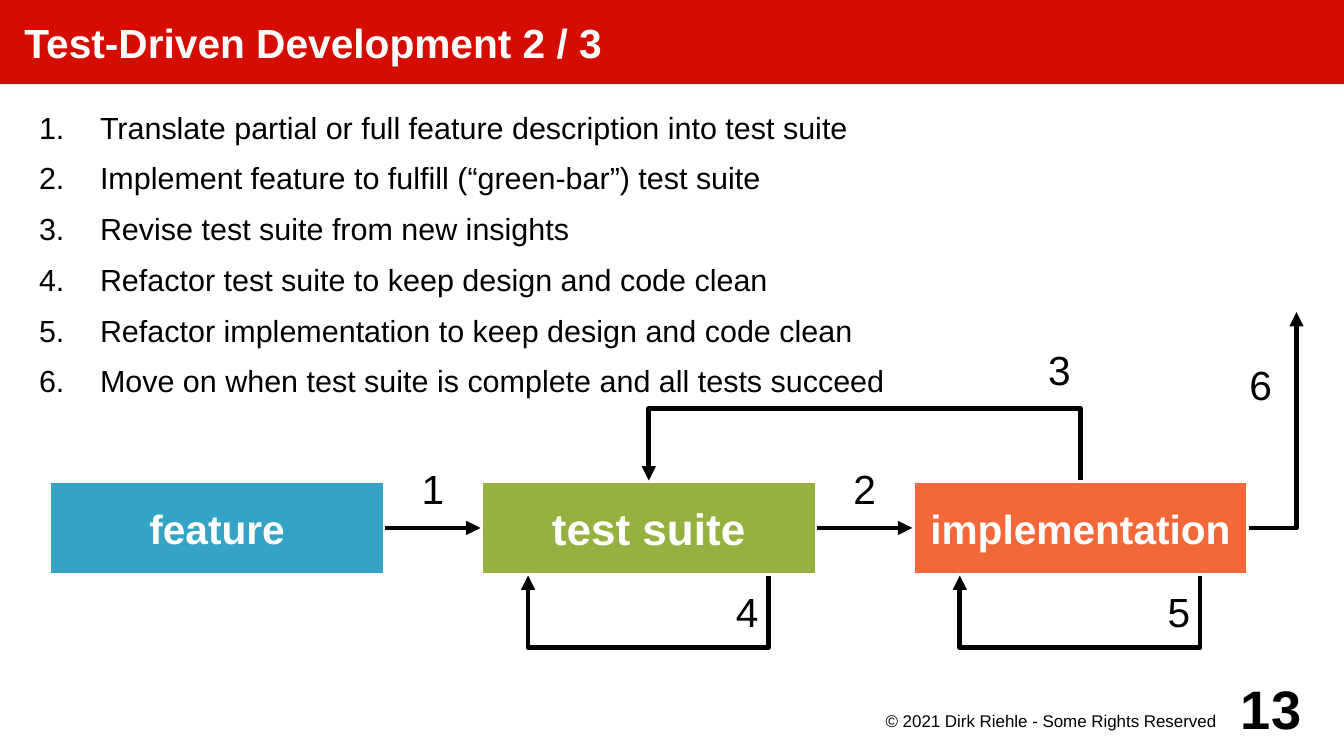
from lxml import etree
from pptx import Presentation
from pptx.dml.color import RGBColor
from pptx.enum.shapes import MSO_CONNECTOR, MSO_SHAPE
from pptx.enum.text import MSO_ANCHOR, MSO_AUTO_SIZE, PP_ALIGN
from pptx.oxml.ns import qn
from pptx.util import Inches, Pt

STRAIGHT, RECTANGLE = MSO_CONNECTOR.STRAIGHT, MSO_SHAPE.RECTANGLE
LEFT, CENTER, RIGHT = PP_ALIGN.LEFT, PP_ALIGN.CENTER, PP_ALIGN.RIGHT
TOP, MIDDLE = MSO_ANCHOR.TOP, MSO_ANCHOR.MIDDLE
NO_AUTO_SIZE = MSO_AUTO_SIZE.NONE

TITLE = "Test-Driven Development 2 / 3"
STEPS = [
    "Translate partial or full feature description into test suite",
    "Implement feature to fulfill (“green-bar”) test suite",
    "Revise test suite from new insights",
    "Refactor test suite to keep design and code clean",
    "Refactor implementation to keep design and code clean",
    "Move on when test suite is complete and all tests succeed",
]
STAGES = [("feature", "34A3C5", 24), ("test suite", "95B241", 26), ("implementation", "F36838", 24)]
FORWARD_LABELS = ["1", "2"]
REFACTOR_LABELS = {1: "4", 2: "5"}
COPYRIGHT = "© 2021 Dirk Riehle - Some Rights Reserved"
PAGE_NUMBER = "13"

BLACK, WHITE, RED = "000000", "FFFFFF", "D50D01"
FONT, LINE_WIDTH = "Arial", Pt(2.83)
SLIDE_WIDTH, SLIDE_HEIGHT = 11.02, 6.2

BOX_TOP, BOX_WIDTH, BOX_HEIGHT = 3.94, 2.76, 0.78
BOX_MIDDLE = BOX_TOP + BOX_HEIGHT / 2
BOX_BOTTOM = BOX_TOP + BOX_HEIGHT
PITCH = 3.54
GAP = PITCH - BOX_WIDTH
BOX_LEFTS = [0.4 + PITCH * index for index in range(len(STAGES))]
LOOP_INSET, LOOP_WIDTH, LOOP_HEIGHT = 0.39, 1.97, 0.59
EXIT_X, EXIT_TOP = 10.63, 2.56


def color(value):
    return RGBColor.from_string(value)


def place(shape, left, top, width, height):
    shape.left, shape.top = Inches(left), Inches(top)
    shape.width, shape.height = Inches(width), Inches(height)


def set_frame(frame, insets, anchor, wrap=True):
    """Set insets (left, top, right, bottom), anchor and wrapping."""
    frame.auto_size = NO_AUTO_SIZE
    frame.word_wrap = wrap
    frame.vertical_anchor = anchor
    (frame.margin_left, frame.margin_top,
     frame.margin_right, frame.margin_bottom) = map(Inches, insets)


def add_run(paragraph, text, size, text_color=BLACK, bold=False, align=LEFT):
    paragraph.alignment = align
    run = paragraph.add_run()
    run.text = text
    run.font.name, run.font.size, run.font.bold = FONT, Pt(size), bold
    run.font.color.rgb = color(text_color)


def add_label(text, bounds, align=RIGHT, size=24, insets=(0.08,) * 4, anchor=MIDDLE, bold=False):
    box = slide.shapes.add_textbox(*map(Inches, bounds))
    set_frame(box.text_frame, insets, anchor)
    add_run(box.text_frame.paragraphs[0], text, size, bold=bold, align=align)


def style_arrow(arrow):
    arrow.line.color.rgb = color(BLACK)
    arrow.line.width = LINE_WIDTH
    properties = arrow._element.spPr
    etree.SubElement(properties.find(qn("a:ln")), qn("a:tailEnd"), type="triangle")
    etree.SubElement(properties, qn("a:effectLst"))


def add_bent_arrow(*points):
    corners = [(Inches(x), Inches(y)) for x, y in points]
    builder = slide.shapes.build_freeform(*corners[0])
    builder.add_line_segments(corners[1:], close=False)
    arrow = builder.convert_to_shape()
    arrow.fill.background()
    style_arrow(arrow)


def add_stage(left, text, fill, size):
    box = slide.shapes.add_shape(
        RECTANGLE, *map(Inches, (left, BOX_TOP, BOX_WIDTH, BOX_HEIGHT)))
    box.shadow.inherit = False
    box.fill.solid()
    box.fill.fore_color.rgb = color(fill)
    box.line.color.rgb = color(WHITE)
    box.line.width = LINE_WIDTH
    set_frame(box.text_frame, (0.08,) * 4, MIDDLE, wrap=False)
    add_run(box.text_frame.paragraphs[0], text, size, WHITE, True, CENTER)
    return box


presentation = Presentation()
presentation.slide_width, presentation.slide_height = Inches(SLIDE_WIDTH), Inches(SLIDE_HEIGHT)
slide = presentation.slides.add_slide(presentation.slide_layouts[1])

title = slide.shapes.title
place(title, 0, 0, SLIDE_WIDTH, 0.69)
title.fill.solid()
title.fill.fore_color.rgb = color(RED)
set_frame(title.text_frame, (0.2, 0, 0, 0), MIDDLE)
add_run(title.text_frame.paragraphs[0], TITLE, 24, WHITE, True)

body = slide.placeholders[1]
place(body, 0.2, 0.89, 10.63, 4.53)
set_frame(body.text_frame, (0, 0, 0, 0), TOP)
for index, step in enumerate(STEPS):
    paragraph = body.text_frame.paragraphs[0] if index == 0 else body.text_frame.add_paragraph()
    properties = paragraph._p.get_or_add_pPr()
    properties.set("marL", str(Inches(0.62)))
    properties.set("indent", str(Inches(-0.5)))
    etree.SubElement(properties, qn("a:buFont"), typeface=FONT)
    etree.SubElement(properties, qn("a:buAutoNum"), type="arabicPeriod")
    paragraph.line_spacing = 1.0
    paragraph.space_before = Pt(4.2 if index else 0)
    paragraph.space_after = Pt(4.2)
    add_run(paragraph, step, 18)

boxes = [add_stage(left, *stage) for left, stage in zip(BOX_LEFTS, STAGES)]

for index, label in enumerate(FORWARD_LABELS):
    arrow = slide.shapes.add_connector(STRAIGHT, 0, 0, 0, 0)
    arrow.begin_connect(boxes[index], 3)
    arrow.end_connect(boxes[index + 1], 1)
    style_arrow(arrow)
    add_label(label, (BOX_LEFTS[index] + BOX_WIDTH, 3.71, GAP, 0.59), CENTER)

for index, label in REFACTOR_LABELS.items():
    left = BOX_LEFTS[index] + LOOP_INSET
    right, bottom = left + LOOP_WIDTH, BOX_BOTTOM + LOOP_HEIGHT
    add_bent_arrow((right, BOX_BOTTOM), (right, bottom), (left, bottom), (left, BOX_BOTTOM))
    add_label(label, (left, BOX_BOTTOM, LOOP_WIDTH, LOOP_HEIGHT))

suite_x, implementation_x = (left + BOX_WIDTH / 2 for left in BOX_LEFTS[1:])
revise_top = BOX_TOP - LOOP_HEIGHT
add_bent_arrow((implementation_x, BOX_TOP), (implementation_x, revise_top),
               (suite_x, revise_top), (suite_x, BOX_TOP))
add_label("3", (7.09, 2.73, 1.77, 0.59))

add_bent_arrow((BOX_LEFTS[2] + BOX_WIDTH, BOX_MIDDLE), (EXIT_X, BOX_MIDDLE), (EXIT_X, EXIT_TOP))
add_label("6", (9.84, 2.64, 0.79, 1.02), insets=(0.2,) * 4)

add_label(COPYRIGHT, (6.9, 5.81, 3.15, 0.3), size=10, insets=(0, 0.02, 0.08, 0), anchor=TOP)
add_label(PAGE_NUMBER, (9.88, 5.51, 0.79, 0.59), size=32, insets=(0,) * 4, bold=True)

presentation.save("out.pptx")
